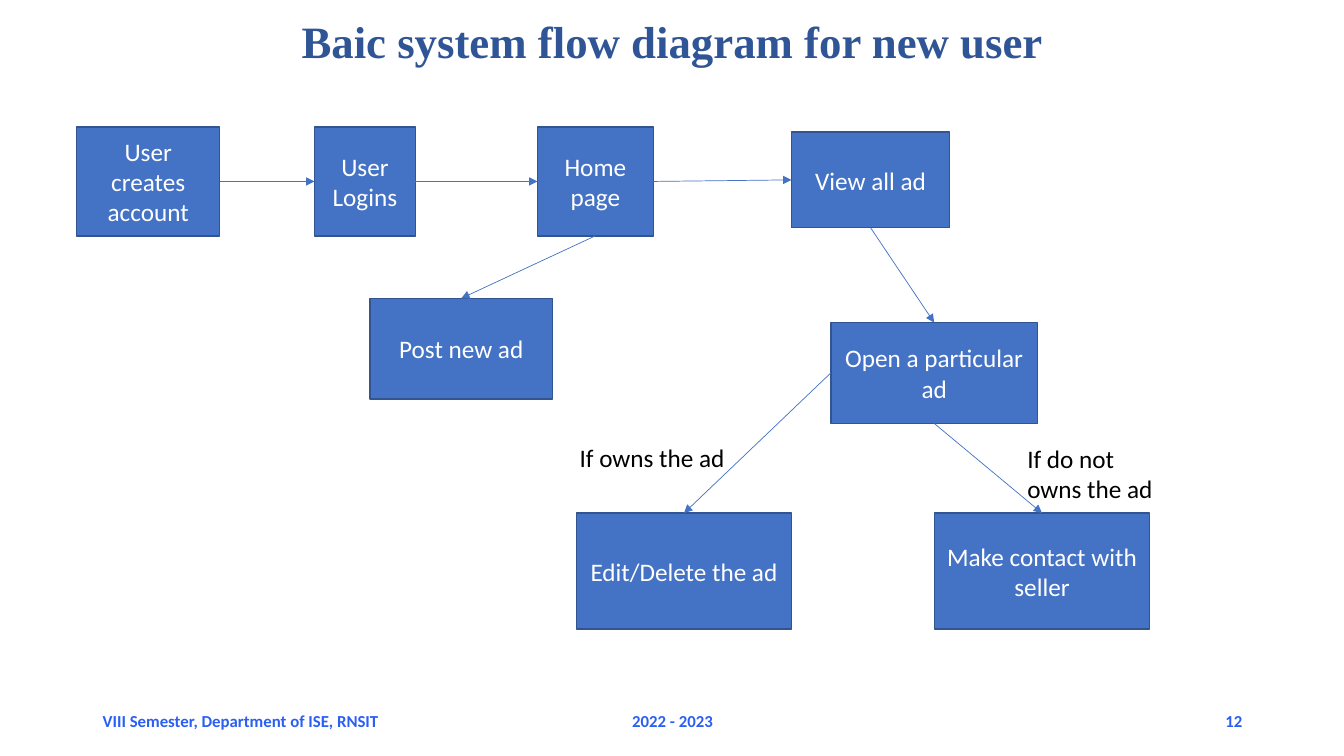
from lxml import etree
from pptx import Presentation
from pptx.dml.color import RGBColor
from pptx.enum.shapes import MSO_CONNECTOR, MSO_SHAPE
from pptx.enum.text import MSO_ANCHOR, PP_ALIGN
from pptx.oxml.ns import qn
from pptx.util import Inches, Pt

LEFT, CENTER, RIGHT = PP_ALIGN.LEFT, PP_ALIGN.CENTER, PP_ALIGN.RIGHT
TOP, MIDDLE = MSO_ANCHOR.TOP, MSO_ANCHOR.MIDDLE
RECT, STRAIGHT = MSO_SHAPE.RECTANGLE, MSO_CONNECTOR.STRAIGHT
BOTTOM_SIDE, LEFT_SIDE, RIGHT_SIDE, TOP_SIDE = 2, 1, 3, 0

COLORS = {
    "title": "2F5597",
    "footer": "2B5FF3",
    "box": "4472C4",
    "border": "325491",
    "white": "FFFFFF",
    "black": "000000",
}


def color(name):
    return RGBColor.from_string(COLORS[name])


def write(sp, text, size=18, font="Calibri", fill="black", bold=False,
          align=LEFT, anchor=TOP, spacing=None):
    tf = sp.text_frame
    tf.word_wrap = True
    tf.vertical_anchor = anchor
    for i, line in enumerate(text.split("\n")):
        p = tf.add_paragraph() if i else tf.paragraphs[0]
        p.alignment = align
        if spacing:
            p.line_spacing = spacing
        r = p.add_run()
        r.text = line
        r.font.size = Pt(size)
        r.font.name = font
        r.font.bold = bold
        r.font.color.rgb = color(fill)


prs = Presentation()
prs.slide_width = Inches(13.33)
prs.slide_height = Inches(7.5)
s = prs.slides.add_slide(prs.slide_layouts[6])

footer = dict(size=12, fill="footer", bold=True, anchor=MIDDLE)
texts = [
    ("Baic system flow diagram for new user", 0.92, 0.15, 11.5, 0.76,
     dict(size=32, font="Times New Roman", fill="title", bold=True,
          align=CENTER, spacing=0.9)),
    ("VIII Semester, Department of ISE, RNSIT", 0.92, 6.95, 3.5, 0.4, footer),
    ("2022 - 2023", 4.42, 6.95, 4.5, 0.4, dict(footer, align=CENTER)),
    ("12", 9.42, 6.95, 3, 0.4, dict(footer, align=RIGHT)),
    ("If owns the ad", 5.65, 4.34, 1.65, 0.4, {}),
    ("If do not owns the ad", 10.09, 4.35, 1.65, 0.71, {}),
]

steps = {
    "account": ("User creates account", 0.76, 1.26, 1.42, 1.08),
    "login": ("User\nLogins", 3.12, 1.26, 1, 1.08),
    "home": ("Home page", 5.33, 1.26, 1.15, 1.08),
    "view": ("View all ad", 7.85, 1.31, 1.57, 0.95),
    "post": ("Post new ad", 3.67, 2.96, 1.81, 1),
    "open": ("Open a particular ad", 8.24, 3.2, 2.05, 1),
    "edit": ("Edit/Delete the ad", 5.72, 5.09, 2.13, 1.15),
    "contact": ("Make contact with seller", 9.27, 5.09, 2.13, 1.15),
}
boxes = {}
for name, (text, *at) in steps.items():
    sp = s.shapes.add_shape(RECT, *map(Inches, at))
    sp.shadow.inherit = False
    sp.fill.solid()
    sp.fill.fore_color.rgb = color("box")
    sp.line.color.rgb = color("border")
    sp.line.width = Pt(1)
    write(sp, text, fill="white", align=CENTER, anchor=MIDDLE)
    boxes[name] = sp

arrows = [
    ("account", RIGHT_SIDE, "login", LEFT_SIDE),
    ("login", RIGHT_SIDE, "home", LEFT_SIDE),
    ("home", RIGHT_SIDE, "view", LEFT_SIDE),
    ("home", BOTTOM_SIDE, "post", TOP_SIDE),
    ("view", BOTTOM_SIDE, "open", TOP_SIDE),
    ("open", LEFT_SIDE, "edit", TOP_SIDE),
    ("open", BOTTOM_SIDE, "contact", TOP_SIDE),
]
for start, start_side, end, end_side in arrows:
    cn = s.shapes.add_connector(STRAIGHT, 0, 0, 0, 0)
    cn.begin_connect(boxes[start], start_side)
    cn.end_connect(boxes[end], end_side)
    cn.line.color.rgb = color("box")
    cn.line.width = Pt(0.5)
    etree.SubElement(cn.line._get_or_add_ln(), qn("a:tailEnd"), type="triangle")
    etree.SubElement(cn._element.spPr, qn("a:effectLst"))

for text, x, y, w, h, style in texts:
    tb = s.shapes.add_textbox(Inches(x), Inches(y), Inches(w), Inches(h))
    write(tb, text, **style)

prs.save("out.pptx")
